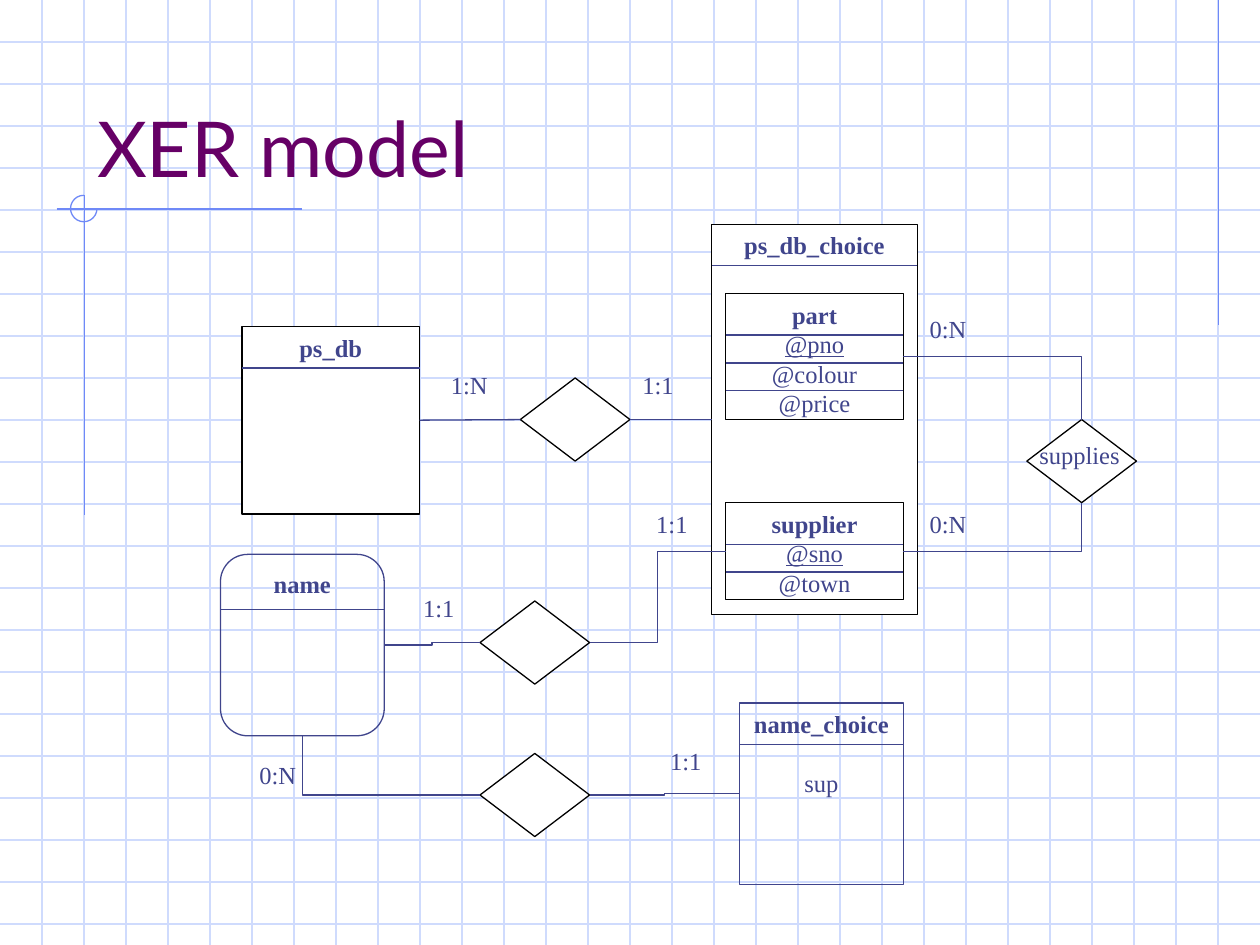
from pptx import Presentation
from pptx.dml.color import RGBColor
from pptx.enum import shapes, text
from pptx.oxml import ns
from pptx.util import Inches, Pt
from lxml import etree

GRID, ACCENT, INK, BLACK, WHITE, PLUM = (
    "CFDBFD", "6F89F7", "40458C", "000000", "FFFFFF", "660066")
HEADER, ROW = 0.33, 0.22
TOP, LEFT, BOTTOM, RIGHT = range(4)  # connection sites
STRAIGHT = shapes.MSO_CONNECTOR.STRAIGHT
ELBOW = shapes.MSO_CONNECTOR.ELBOW


def rgb(value):
    return RGBColor.from_string(value)


def add_line(slide, start, end, color=INK, kind=STRAIGHT):
    line = slide.shapes.add_connector(
        kind, *(Inches(v) for v in (*start, *end)))
    line.line.color.rgb = rgb(color)
    line.line.width = Pt(0.75)
    etree.SubElement(line._element.spPr, ns.qn("a:effectLst"))
    return line


def add_outline(slide, preset, box, color=BLACK, fill=WHITE):
    outline = slide.shapes.add_shape(preset, *(Inches(v) for v in box))
    outline.shadow.inherit = False
    outline.line.color.rgb = rgb(color)
    outline.line.width = Pt(0.75)
    if fill:
        outline.fill.solid()
        outline.fill.fore_color.rgb = rgb(fill)
    else:
        outline.fill.background()
    return outline


def add_run(paragraph, words, size=14, font="Times New Roman", color=INK,
            bold=False, underline=False):
    run = paragraph.add_run()
    run.text = words
    run.font.size = Pt(size)
    run.font.name = font
    run.font.color.rgb = rgb(color)
    run.font.bold = bold
    run.font.underline = underline


def draw_background(slide, width, height):
    """Squared paper with three accent lines and an open circle."""
    step = 1 / 3
    for i in range(1, int(height / step) + 1):
        add_line(slide, (0, i * step), (width, i * step), GRID)
    for i in range(1, int(width / step)):
        add_line(slide, (i * step, 0), (i * step, height), GRID)
    add_line(slide, (9.67, 0), (9.67, 2.58), ACCENT)
    add_line(slide, (0.45, 1.66), (2.4, 1.66), ACCENT)
    add_line(slide, (0.67, 1.55), (0.67, 4.09), ACCENT)
    arc = add_outline(slide, shapes.MSO_SHAPE.ARC,
                      (0.56, 1.55, 0.21, 0.21), ACCENT, None)
    arc.adjustments[0], arc.adjustments[1] = 0, 162  # right round to top


def place_title(slide, box, words):
    title = slide.shapes.title
    title.left, title.top, title.width, title.height = map(Inches, box)
    frame = title.text_frame
    frame.auto_size = text.MSO_AUTO_SIZE.NONE
    frame.vertical_anchor = text.MSO_ANCHOR.BOTTOM
    frame.paragraphs[0].alignment = text.PP_ALIGN.LEFT
    add_run(frame.paragraphs[0], words, 44, "Lato", PLUM)
    slide.shapes._spTree.append(title._element)  # in front of the grid


def add_entity(slide, box, name, attributes=(), key=None, color=BLACK,
               fill=WHITE, header=HEADER, gap=0,
               preset=shapes.MSO_SHAPE.RECTANGLE):
    """Box with a bold name, a header rule and a rule between attributes."""
    left, top, width, _ = box
    entity = add_outline(slide, preset, box, color, fill)
    frame = entity.text_frame
    frame.word_wrap = True
    frame.vertical_anchor = text.MSO_ANCHOR.TOP
    paragraph = frame.paragraphs[0]
    paragraph.alignment = text.PP_ALIGN.CENTER
    add_run(paragraph, name, bold=True)
    for attribute in attributes:
        paragraph = frame.add_paragraph()
        paragraph.alignment = text.PP_ALIGN.CENTER
        paragraph.space_before = Pt(gap)
        add_run(paragraph, attribute, underline=attribute == key)
    for i in range(max(1, len(attributes))):
        y = top + header + i * ROW
        add_line(slide, (left, y), (left + width, y))
    return entity


def add_label(slide, left, top, words, width=0.65):
    label = slide.shapes.add_textbox(
        Inches(left), Inches(top), Inches(width), Inches(0.34))
    label.text_frame.word_wrap = True
    add_run(label.text_frame.paragraphs[0], words)


def add_relationship(slide, left, top, name=None):
    diamond = add_outline(slide, shapes.MSO_SHAPE.DIAMOND,
                          (left, top, 0.87, 0.66))
    if name:
        add_label(slide, left, top + 0.11, name, 0.87)
    return diamond


def join(slide, start, start_site, end, end_site, kind=ELBOW, corner=False):
    """Glue a connector between two shapes; a corner has a single bend."""
    link = add_line(slide, (0, 0), (0, 0), kind=kind)
    if corner:
        link._element.spPr.prstGeom.set("prst", "bentConnector2")
    link.begin_connect(start, start_site)
    link.end_connect(end, end_site)


def draw_model(slide):
    choice = add_entity(slide, (5.65, 1.78, 1.63, 3.1), "ps_db_choice")
    supplier = add_entity(slide, (5.76, 3.99, 1.41, 0.77), "supplier",
                          ("@sno", "@town"), key="@sno")
    part = add_entity(slide, (5.76, 2.33, 1.41, 1), "part",
                      ("@pno", "@colour", "@price"), key="@pno")
    database = add_entity(slide, (1.92, 2.59, 1.41, 1.49), "ps_db")
    name = add_entity(slide, (1.75, 4.4, 1.3, 1.44), "name", color=INK,
                      fill=None, header=0.44,
                      preset=shapes.MSO_SHAPE.ROUNDED_RECTANGLE)
    name_choice = add_entity(slide, (5.87, 5.58, 1.3, 1.44), "name_choice",
                             ("sup",), color=INK, fill=None, gap=17)

    supplies = add_relationship(slide, 8.15, 3.33, "supplies")
    db_choice = add_relationship(slide, 4.13, 3)
    supplier_name = add_relationship(slide, 3.81, 4.77)
    name_content = add_relationship(slide, 3.81, 5.98)

    join(slide, part, RIGHT, supplies, TOP, corner=True)
    join(slide, supplier, RIGHT, supplies, BOTTOM, corner=True)
    join(slide, name_content, LEFT, name, BOTTOM, corner=True)
    join(slide, database, RIGHT, db_choice, LEFT, STRAIGHT)
    join(slide, db_choice, RIGHT, choice, LEFT, STRAIGHT)
    join(slide, name, RIGHT, supplier_name, LEFT)
    join(slide, supplier_name, RIGHT, supplier, LEFT)
    join(slide, name_content, RIGHT, name_choice, LEFT)

    for left, top, cardinality in (
            (7.28, 2.44, "0:N"), (7.28, 3.99, "0:N"), (3.48, 2.89, "1:N"),
            (5, 2.89, "1:1"), (3.26, 4.66, "1:1"), (5.11, 3.99, "1:1"),
            (1.96, 5.98, "0:N"), (5.22, 5.87, "1:1")):
        add_label(slide, left, top, cardinality)


def main():
    deck = Presentation()
    deck.slide_width, deck.slide_height = Inches(10), Inches(7.5)
    slide = deck.slides.add_slide(deck.slide_layouts[5])
    draw_background(slide, 10, 7.5)
    place_title(slide, (0.67, 0.33, 8.5, 1.25), "XER model")
    draw_model(slide)
    deck.save("out.pptx")


if __name__ == "__main__":
    main()
